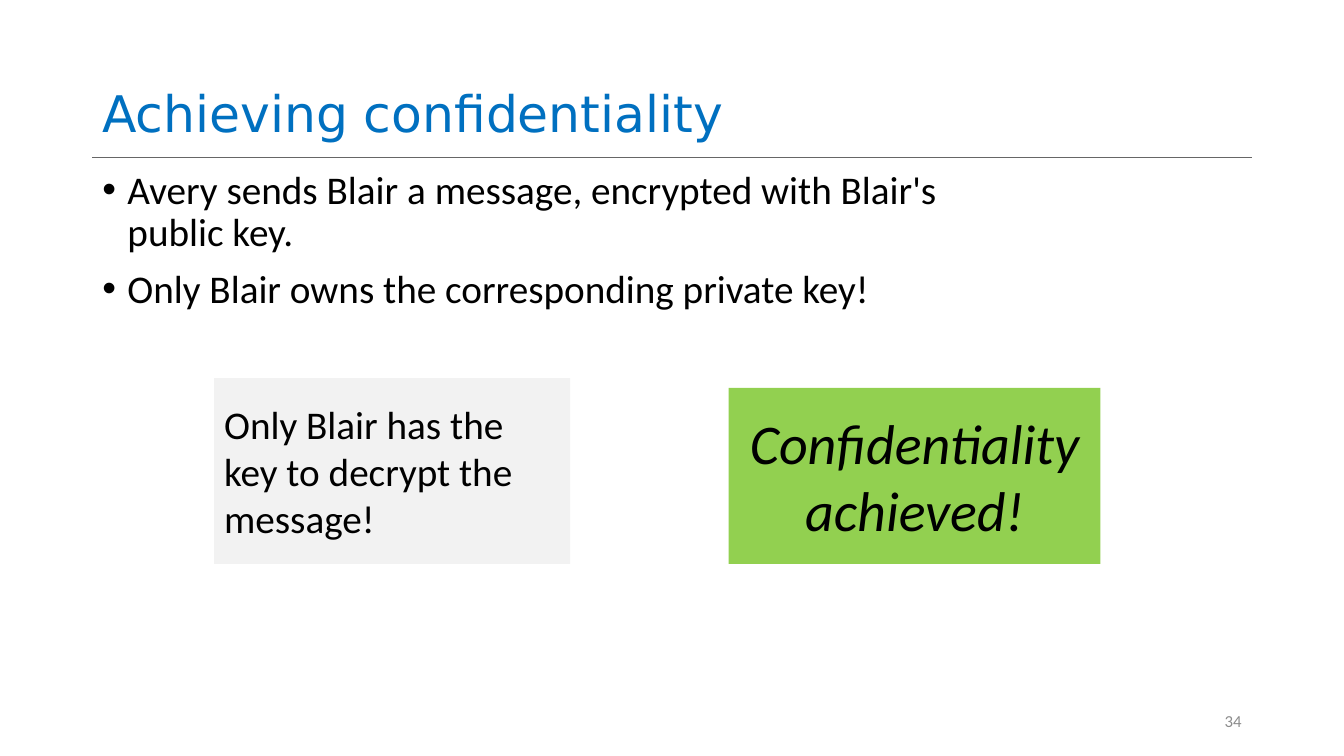
"""Build the slide on achieving confidentiality."""
from pptx import Presentation
from pptx.dml.color import RGBColor
from pptx.enum.shapes import MSO_CONNECTOR as Conn, MSO_SHAPE as Kind
from pptx.enum.text import MSO_ANCHOR as Anchor, PP_ALIGN as Align
from pptx.oxml.ns import qn
from pptx.util import Pt
from lxml.etree import SubElement

WIDTH, HEIGHT = 960, 540
LEFT, RIGHT, RULE = 66, 894, 112.5
BLACK, GREY = "000000", "666666"

TEXTS = [
    dict(lines=["Achieving confidentiality"], at=(LEFT, 1.25, 828, 104.4),
         anchor=Anchor.BOTTOM, para=dict(line_spacing=0.9),
         size=36, face="DejaVu Sans", color="0070C0"),
    dict(lines=["Avery sends Blair a message, encrypted with Blair's public key.",
                "Only Blair owns the corresponding private key!"],
         at=(LEFT, 118.25, 621, 342.75), anchor=Anchor.TOP, bullet="•",
         para=dict(line_spacing=0.9), size=28),
    dict(lines=["34"], at=(RIGHT - 216, 500.5, 216, 28.75),
         para=dict(alignment=Align.RIGHT), size=12, color="8C8C8C"),
    dict(lines=["Only Blair has the key to decrypt the message!"],
         at=(153, 270, 254.25, 132.75), fill="F2F2F2", size=28),
    dict(lines=["Confidentiality achieved!"], at=(520.5, 277, 265.5, 125.75),
         fill="92D050", para=dict(alignment=Align.CENTER), size=40, italic=True),
]


def paint(part, color):
    part.solid()
    part.fore_color.rgb = RGBColor.from_string(color)


def set_all(item, values):
    for name, value in values.items():
        setattr(item, name, value)


def add_text(slide, lines, at, size, color=BLACK, face="Calibri", italic=False,
             anchor=Anchor.MIDDLE, para=None, fill=None, bullet=None):
    box = [Pt(n) for n in at]
    if fill:
        shape = slide.shapes.add_shape(Kind.RECTANGLE, *box)
        shape.shadow.inherit = False
        paint(shape.fill, fill)
        shape.line.fill.background()
    else:
        shape = slide.shapes.add_textbox(*box)
    frame = shape.text_frame
    set_all(frame, dict(text="\n".join(lines), word_wrap=True, vertical_anchor=anchor))
    for i, row in enumerate(frame.paragraphs):
        if bullet:
            props = row._p.get_or_add_pPr()
            props.set("marL", str(Pt(18)))
            props.set("indent", str(Pt(-18)))
            SubElement(props, qn("a:buFont"), typeface="Arial")
            SubElement(props, qn("a:buChar"), char=bullet)
        style = dict(alignment=Align.LEFT, space_before=Pt(10 if i else 0))
        set_all(row, style | (para or {}))
        set_all(row.font, dict(size=Pt(size), name=face, italic=italic))
        paint(row.font.fill, color)


def main():
    deck = Presentation()
    set_all(deck, dict(slide_width=Pt(WIDTH), slide_height=Pt(HEIGHT)))
    slide = deck.slides.add_slide(deck.slide_layouts[6])
    ends = [Pt(n) for n in (LEFT, RULE, RIGHT, RULE)]
    rule = slide.shapes.add_connector(Conn.STRAIGHT, *ends)
    rule.line.width = Pt(0.5)
    paint(rule.line.fill, GREY)
    SubElement(rule._element.spPr, qn("a:effectLst"))
    for text in TEXTS:
        add_text(slide, **text)
    deck.save("out.pptx")


if __name__ == "__main__":
    main()
